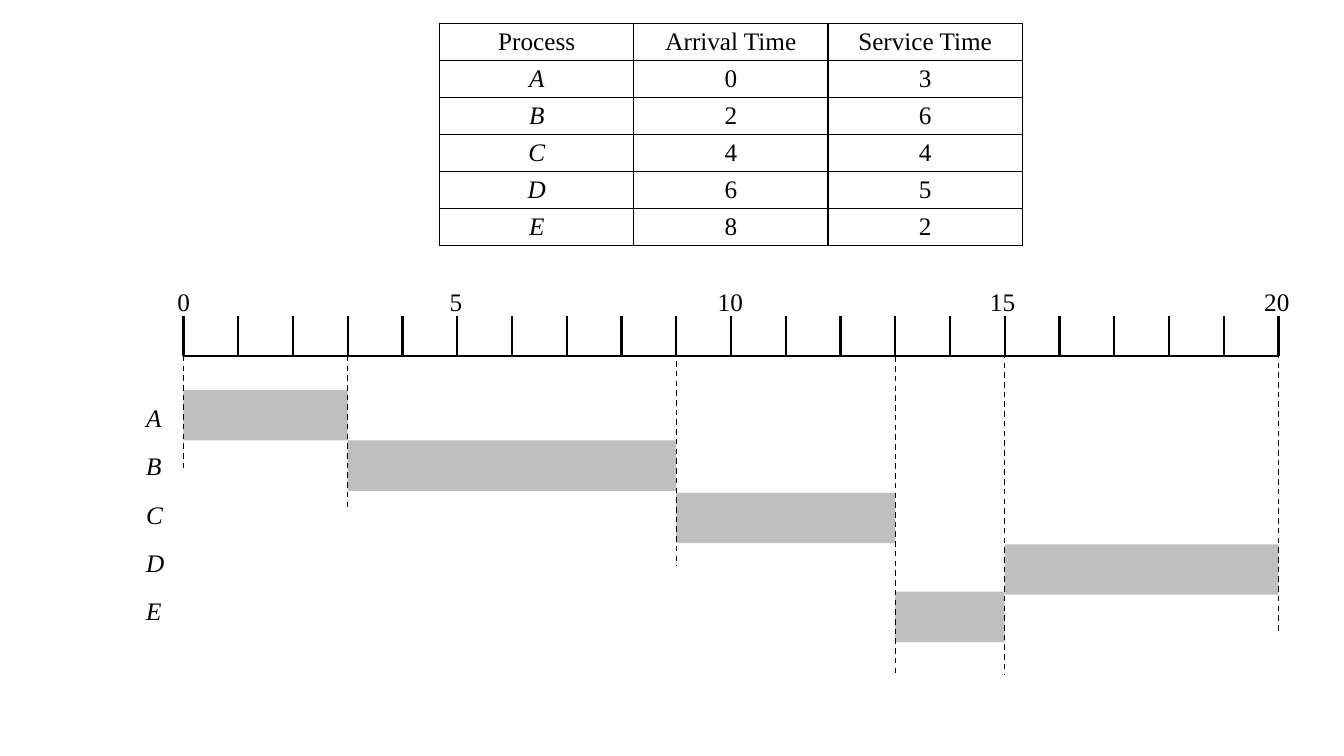
from dataclasses import dataclass

import lxml.etree
import pptx
import pptx.dml.color
import pptx.enum.dml
import pptx.enum.shapes
import pptx.enum.text
import pptx.oxml.ns
import pptx.util
from pptx.util import Inches


@dataclass(frozen=True)
class Theme:
    font: str = "Times New Roman"
    size: float = 18
    ink: str = "000000"
    bar: str = "BFBFBF"
    axis_width: float = 1.5
    thin_width: float = 1


@dataclass(frozen=True)
class Process:
    name: str
    arrival: int
    service: int
    start: int  # when it begins to run
    bar_top: float


@dataclass(frozen=True)
class TimeLabel:
    time: int
    left: float


@dataclass(frozen=True)
class Guide:
    time: int
    top: float
    bottom: float


THEME = Theme()
AXIS_LEFT, AXIS_RIGHT, AXIS_Y = 1.82, 12.68, 3.53
TICK_TOP, LAST_TIME = 3.14, 20
BAR_HEIGHT = 0.5
NAME_LEFT, NAME_TOP, NAME_STEP = 1.35, 3.94, 0.48

HEADERS = ["Process", "Arrival Time", "Service Time"]
PROCESSES = [
    Process("A", 0, 3, 0, 3.87),
    Process("B", 2, 6, 3, 4.37),
    Process("C", 4, 4, 9, 4.89),
    Process("D", 6, 5, 15, 5.4),
    Process("E", 8, 2, 13, 5.87),
]
TIME_LABELS = [
    TimeLabel(0, 1.66),
    TimeLabel(5, 4.36),
    TimeLabel(10, 7.02),
    TimeLabel(15, 9.72),
    TimeLabel(20, 12.44),
]
GUIDES = [
    Guide(0, 3.53, 4.67),
    Guide(3, 3.53, 5.06),
    Guide(9, 3.39, 5.61),
    Guide(13, 3.44, 6.7),
    Guide(15, 3.5, 6.7),
    Guide(20, 3.5, 6.27),
]


def rgb(value: str) -> pptx.dml.color.RGBColor:
    return pptx.dml.color.RGBColor.from_string(value)


def x_at(time: int) -> float:
    return AXIS_LEFT + (AXIS_RIGHT - AXIS_LEFT) * time / LAST_TIME


def write(tf, text: str, *, italic: bool = False, align=None) -> None:
    p = tf.paragraphs[0]
    p.alignment = align
    r = p.add_run()
    r.text = text
    r.font.name = THEME.font
    r.font.size = pptx.util.Pt(THEME.size)
    r.font.italic = italic
    r.font.bold = False
    r.font.color.rgb = rgb(THEME.ink)


def add_label(s, text: str, left: float, top: float, width: float, height: float,
              *, italic: bool = False) -> None:
    tf = s.shapes.add_textbox(Inches(left), Inches(top), Inches(width), Inches(height)).text_frame
    tf.word_wrap = True
    tf.auto_size = pptx.enum.text.MSO_AUTO_SIZE.SHAPE_TO_FIT_TEXT
    write(tf, text, italic=italic)


def add_line(s, x1: float, y1: float, x2: float, y2: float, *,
             width: float, dashed: bool = False) -> None:
    line = s.shapes.add_connector(pptx.enum.shapes.MSO_CONNECTOR.STRAIGHT,
                                  Inches(x1), Inches(y1), Inches(x2), Inches(y2))
    line.line.color.rgb = rgb(THEME.ink)
    line.line.width = pptx.util.Pt(width)
    if dashed:
        line.line.dash_style = pptx.enum.dml.MSO_LINE.DASH
    props = line._element.spPr
    lxml.etree.SubElement(props, pptx.oxml.ns.qn("a:effectLst"))


def add_borders(cell) -> None:
    props = cell._tc.get_or_add_tcPr()
    for index, side in enumerate(("lnL", "lnR", "lnT", "lnB")):
        border = lxml.etree.Element(pptx.oxml.ns.qn(f"a:{side}"),
                                    w=str(pptx.util.Pt(THEME.thin_width)))
        fill = lxml.etree.SubElement(border, pptx.oxml.ns.qn("a:solidFill"))
        lxml.etree.SubElement(fill, pptx.oxml.ns.qn("a:srgbClr"), val=THEME.ink)
        props.insert(index, border)


def add_process_table(s) -> None:
    rows = [HEADERS] + [[p.name, str(p.arrival), str(p.service)] for p in PROCESSES]
    row_height = 0.32
    table = s.shapes.add_table(len(rows), len(HEADERS), Inches(4.36), Inches(0.23),
                               Inches(5.78), Inches(row_height * len(rows))).table
    table.first_row = False
    table.horz_banding = False
    for i, row in enumerate(rows):
        table.rows[i].height = Inches(row_height)
        for j, text in enumerate(row):
            cell = table.cell(i, j)
            cell.margin_top = Inches(0.05)
            cell.margin_bottom = Inches(0.04)
            cell.fill.background()
            add_borders(cell)
            write(cell.text_frame, text, italic=i > 0 and j == 0,
                  align=pptx.enum.text.PP_ALIGN.CENTER)


def add_bar(s, process: Process) -> None:
    left = x_at(process.start)
    width = x_at(process.start + process.service) - left
    sp = s.shapes.add_shape(pptx.enum.shapes.MSO_SHAPE.RECTANGLE, Inches(left),
                            Inches(process.bar_top), Inches(width), Inches(BAR_HEIGHT))
    sp.shadow.inherit = False
    sp.fill.solid()
    sp.fill.fore_color.rgb = rgb(THEME.bar)
    sp.line.fill.background()


def main() -> None:
    prs = pptx.Presentation()
    prs.slide_width, prs.slide_height = Inches(13.33), Inches(7.5)
    s = prs.slides.add_slide(prs.slide_layouts[6])

    add_process_table(s)

    # Time axis
    add_line(s, AXIS_LEFT, AXIS_Y, AXIS_RIGHT, AXIS_Y, width=THEME.axis_width)
    for time in range(LAST_TIME + 1):
        add_line(s, x_at(time), TICK_TOP, x_at(time), AXIS_Y, width=THEME.axis_width)
    for label in TIME_LABELS:
        add_label(s, str(label.time), label.left, 2.79, 0.48, 0.4)

    # Running periods and process names
    for i, process in enumerate(PROCESSES):
        add_bar(s, process)
        add_label(s, process.name, NAME_LEFT, NAME_TOP + i * NAME_STEP, 0.58, 0.41, italic=True)

    # Dashed guides at the switching times
    for guide in GUIDES:
        add_line(s, x_at(guide.time), guide.top, x_at(guide.time), guide.bottom,
                 width=THEME.thin_width, dashed=True)

    prs.save("out.pptx")


if __name__ == "__main__":
    main()
